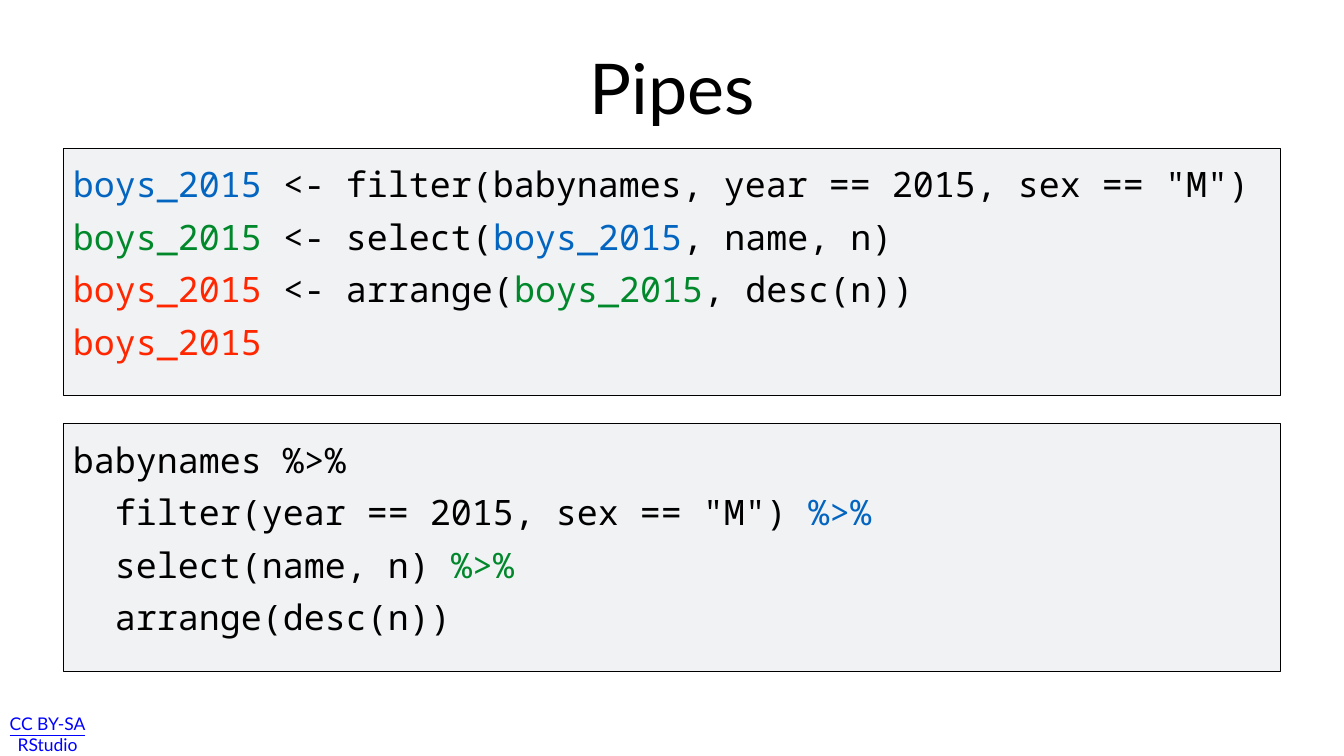
from pptx import Presentation
from pptx import util as u
from pptx.dml.color import RGBColor
from pptx.enum import shapes, text

BLACK = RGBColor(0x00, 0x00, 0x00)
BLUE = RGBColor(0x03, 0x65, 0xC0)
GREEN = RGBColor(0x00, 0x88, 0x2B)
RED = RGBColor(0xFF, 0x26, 0x00)
LINK_BLUE = RGBColor(0x00, 0x00, 0xFF)
PANEL_GREY = RGBColor(0xF0, 0xF2, 0xF4)

LABEL = {"name": "Lato"}
CODE = {"name": "Noto Sans Mono", "size": u.Pt(50)}
PANEL_LEFT, PANEL_WIDTH, PANEL_HEIGHT = 90, 1739.5, 354
PANEL_TOPS = (211.5, 605)

STEPWISE = [
    [("boys_2015", BLUE), (' <- filter(babynames, year == 2015, sex == "M")', BLACK)],
    [("boys_2015", GREEN), (" <- select(", BLACK), ("boys_2015", BLUE), (", name, n)", BLACK)],
    [("boys_2015", RED), (" <- arrange(", BLACK), ("boys_2015", GREEN), (", desc(n))", BLACK)],
    [("boys_2015", RED)],
]
PIPED = [
    [("babynames %>%", BLACK)],
    [('  filter(year == 2015, sex == "M") ', BLACK), ("%>%", BLUE)],
    [("  select(name, n) ", BLACK), ("%>%", GREEN)],
    [("  arrange(desc(n))", BLACK)],
]


def apply_format(target, values):
    for key, value in values.items():
        setattr(target, key, value)


def add_frame(slide, box, inset, **values):
    frame = slide.shapes.add_textbox(*map(u.Pt, box)).text_frame
    margins = {f"margin_{side}": u.Pt(inset) for side in ("left", "top", "right", "bottom")}
    apply_format(frame, {"word_wrap": True, **margins, **values})
    return frame


def add_label(slide, box, inset, wording, color, **font):
    frame = add_frame(slide, box, inset, vertical_anchor=text.MSO_ANCHOR.MIDDLE)
    line = frame.paragraphs[0]
    line.text = wording
    line.alignment = text.PP_ALIGN.CENTER
    for part in line.runs:
        apply_format(part.font, {**LABEL, **font})
        part.font.color.rgb = color


def add_code_panel(slide, top, code):
    panel = slide.shapes.add_shape(
        shapes.MSO_SHAPE.RECTANGLE,
        *map(u.Pt, (PANEL_LEFT, top, PANEL_WIDTH, PANEL_HEIGHT)))
    panel.shadow.inherit = False
    panel.fill.solid()
    panel.fill.fore_color.rgb = PANEL_GREY
    panel.line.color.rgb = BLACK
    panel.line.width = u.Pt(1)

    frame = add_frame(slide, (PANEL_LEFT + 10, top + 17, 1720, 337), 4)
    for index, parts in enumerate(code):
        line = frame.add_paragraph() if index else frame.paragraphs[0]
        line.space_before = u.Pt(15 if index else 0)
        for wording, color in parts:
            part = line.add_run()
            part.text = wording
            apply_format(part.font, CODE)
            part.font.color.rgb = color


def main():
    """Build the slide that compares stepwise code with piped code."""
    deck = Presentation()
    apply_format(deck, {"slide_width": u.Pt(1920), "slide_height": u.Pt(1080)})
    slide = deck.slides.add_slide(deck.slide_layouts[6])
    add_label(slide, (8, 1018, 120, 62), 0, "CC BY-SA\vRStudio", LINK_BLUE,
              size=u.Pt(25), underline=True)
    add_label(slide, (315.5, 29.5, 1289, 188.5), 4, "Pipes", BLACK, size=u.Pt(100))
    for top, code in zip(PANEL_TOPS, (STEPWISE, PIPED)):
        add_code_panel(slide, top, code)
    deck.save("out.pptx")


if __name__ == "__main__":
    main()
